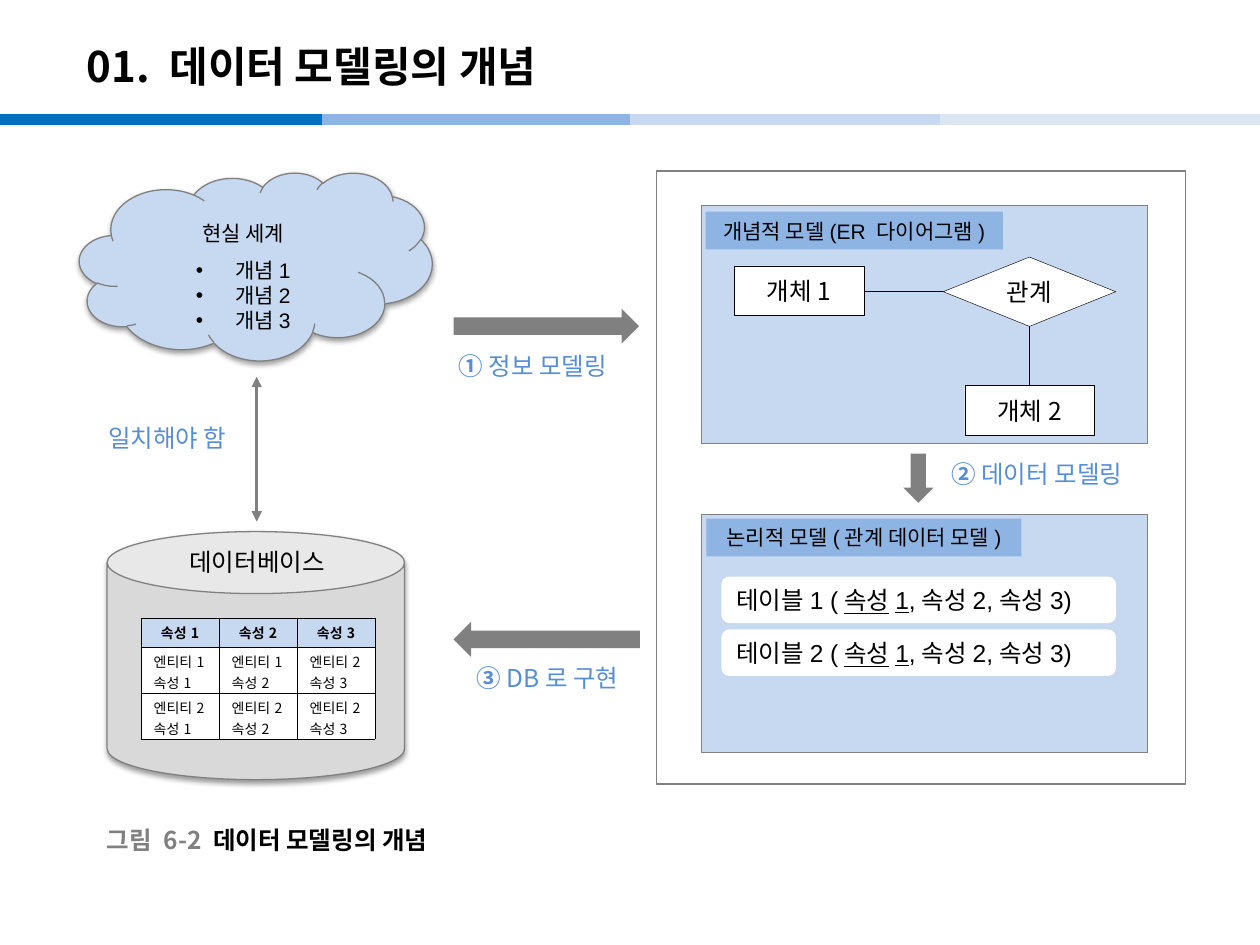
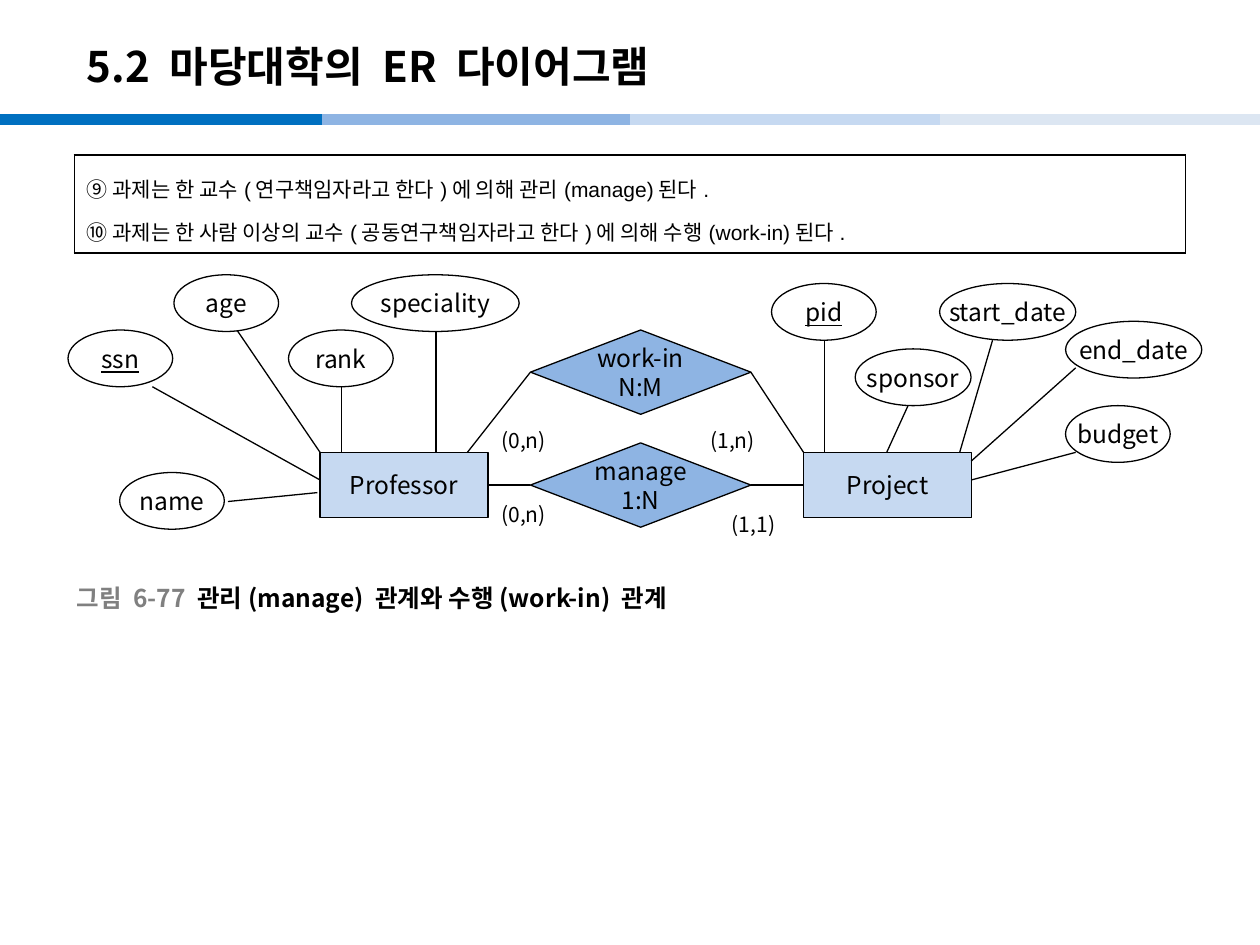
from lxml import etree
from pptx import Presentation
from pptx.dml.color import RGBColor
from pptx.enum import shapes, text
from pptx.oxml import ns
from pptx.util import Pt

BLACK = RGBColor(0x00, 0x00, 0x00)
WHITE = RGBColor(0xFF, 0xFF, 0xFF)
GRAY = RGBColor(0x80, 0x80, 0x80)
SILVER = RGBColor(0xD9, 0xD9, 0xD9)
NAVY = RGBColor(0x00, 0x70, 0xC0)
BLUE = RGBColor(0x8E, 0xB4, 0xE3)
PALE = RGBColor(0xC6, 0xD9, 0xF1)
MIST = RGBColor(0xDC, 0xE6, 0xF2)
SKY = RGBColor(0x55, 0x8E, 0xD5)

SANS = "Noto Sans CJK KR"
ARIAL = "Arial"
KIND = shapes.MSO_SHAPE
LEFT, MID = text.PP_ALIGN.LEFT, text.PP_ALIGN.CENTER
WIDE, HIGH = 720, 540


def sub(node, tag, **attrs):
    """Append an XML child such as a:ln to a node."""
    child = etree.SubElement(node, ns.qn(tag))
    for key, val in attrs.items():
        child.set(key, str(val))
    return child


def within(box, x, y, w, h):
    """Turn a box relative to another into a slide box."""
    return box[0] + x, box[1] + y, w, h


def write(frame, paras, size=14, font=SANS, color=BLACK, bold=False,
          align=LEFT, lines=None):
    """Fill a frame; a paragraph is a string or a list of (text, changes)."""
    frame.vertical_anchor = text.MSO_ANCHOR.MIDDLE
    for i, runs in enumerate(paras):
        para = frame.paragraphs[0] if i == 0 else frame.add_paragraph()
        para.alignment = align
        if lines:
            para.line_spacing = lines
        for words, diff in [(runs, {})] if isinstance(runs, str) else runs:
            run = para.add_run()
            run.text = words
            run.font.size = Pt(size)
            run.font.name = font
            run.font.bold = diff.get("bold", bold)
            run.font.underline = diff.get("under", False)
            run.font.color.rgb = diff.get("color", color)
            sub(run.font._element, "a:ea", typeface=SANS)


def label(slide, box, paras, **fmt):
    frame = slide.shapes.add_textbox(*map(Pt, box)).text_frame
    frame.word_wrap = True
    write(frame, paras, **fmt)


def draw(slide, kind, box, fill, line=None, width=0.75, paras=(), wrap=False,
         **fmt):
    shape = slide.shapes.add_shape(kind, *map(Pt, box))
    shape.shadow.inherit = False
    shape.fill.solid()
    shape.fill.fore_color.rgb = fill
    if line is None:
        shape.line.fill.background()
    else:
        shape.line.color.rgb = line
        shape.line.width = Pt(width)
    shape.text_frame.word_wrap = wrap
    if paras:
        write(shape.text_frame, paras, **{"align": MID, **fmt})
    return shape


def shade(shape):
    """Give a shape a soft shadow below it."""
    effects = shape._element.spPr.find(ns.qn("a:effectLst"))
    outer = sub(effects, "a:outerShdw", blurRad=Pt(3.1), dist=Pt(1.6),
                dir=5400000, algn="t", rotWithShape=0)
    sub(sub(outer, "a:srgbClr", val=BLACK), "a:alpha", val=38000)


def link(slide, start, end, color=BLACK, width=0.75, heads=False):
    line = slide.shapes.add_connector(
        shapes.MSO_CONNECTOR.STRAIGHT, *map(Pt, (*start, *end)))
    line.line.color.rgb = color
    line.line.width = Pt(width)
    if heads:
        for tag in ("a:headEnd", "a:tailEnd"):
            sub(line.line._get_or_add_ln(), tag, type="triangle")
    sub(line._element.spPr, "a:effectLst")


def grid(slide, box, rows, heights, edge, pads, heads=0, **fmt):
    """Table of equal columns; pads are the left, top, right, bottom margins."""
    table = slide.shapes.add_table(
        len(rows), len(rows[0]), *map(Pt, box)).table
    table.first_row = table.horz_banding = False
    for r, row in enumerate(rows):
        table.rows[r].height = Pt(heights[r])
        for c, paras in enumerate(row):
            table.columns[c].width = Pt(box[2] / len(row))
            cell = table.cell(r, c)
            top = r < heads
            (cell.margin_left, cell.margin_top, cell.margin_right,
             cell.margin_bottom) = map(Pt, (0, 0, 0, 0) if top else pads)
            write(cell.text_frame, paras, bold=top,
                  align=MID if top else LEFT, **fmt)
            cell.vertical_anchor = text.MSO_ANCHOR.MIDDLE
            props = cell._tc.get_or_add_tcPr()
            for tag in ("a:lnL", "a:lnR", "a:lnT", "a:lnB"):
                side = sub(props, tag, w=Pt(edge))
                sub(sub(side, "a:solidFill"), "a:srgbClr", val=BLACK)
            cell.fill.solid()
            cell.fill.fore_color.rgb = PALE if top else WHITE


# Shared parts
def start(deck, title):
    slide = deck.slides.add_slide(deck.slide_layouts[6])
    stops = (0, 184.3, 360, 537.1, WIDE)
    for left, right, color in zip(stops, stops[1:], (NAVY, BLUE, PALE, MIST)):
        link(slide, (left, 68.4), (right, 68.4), color, 6)
    label(slide, (42.5, 15.8, 595.4, 43.2), [title], size=24, bold=True)
    return slide


def caption(slide, box, number, words):
    label(slide, box, [[(f"그림 {number} ", {"color": GRAY}), (words, {})]],
          bold=True)


def step(slide, box, mark, words):
    label(slide, box, [[(mark + " ", {"bold": True}), (words, {})]], color=SKY)


# Regions of the modelling slide
def world(slide, box):
    cloud = draw(slide, KIND.CLOUD, box, PALE, GRAY, size=12, font=ARIAL,
                 paras=["현실 세계", "개념1", "개념2", "개념3"],
                 lines=Pt(14.3))
    shade(cloud)
    frame = cloud.text_frame
    frame.margin_top = Pt(20.6)
    frame.paragraphs[0].space_after = Pt(7)
    for para in frame.paragraphs[1:]:
        props = para._p.get_or_add_pPr()
        props.set("marL", str(Pt(22.5)))
        props.set("indent", str(-Pt(22.5)))
        sub(props, "a:buFont", typeface=ARIAL)
        sub(props, "a:buChar", char="•")


def store(slide, box):
    shade(draw(slide, KIND.CAN, box, SILVER, GRAY))
    label(slide, within(box, 36, 5.1, 99.4, 24.5), ["데이터베이스"], align=MID)
    rows = [[[f"속성{n}"] for n in (1, 2, 3)]]
    for owners in ((1, 1, 2), (2, 2, 2)):
        rows.append([[f"엔티티{own}", f"속성{n}"]
                     for n, own in enumerate(owners, 1)])
    grid(slide, within(box, 19.4, 49.2, 133.8, 69.2), rows,
         (16.6, 26.3, 26.3), 0.25, (7.2, 2.5, 0, 0), heads=1, size=8)


def panel(slide, box, tag, words):
    draw(slide, KIND.RECTANGLE, box, PALE, GRAY)
    draw(slide, KIND.RECTANGLE, within(box, *tag, 21.6), BLUE, paras=[words],
         size=12, font=ARIAL)


def concept(slide, box):
    panel(slide, box, (2.4, 3.6, 169.9), "개념적 모델(ER 다이어그램)")
    for kind, part, word in (
            (KIND.RECTANGLE, (18.7, 34.6, 74.2, 28.1), "개체1"),
            (KIND.FLOWCHART_DECISION, (138.2, 29.5, 98.6, 39.6), "관계"),
            (KIND.RECTANGLE, (150.5, 103, 74.2, 28.1), "개체2")):
        draw(slide, kind, within(box, *part), WHITE, BLACK, 0.25, [word])
    x, y = box[:2]
    link(slide, (x + 92.9, y + 49.2), (x + 138.2, y + 49.2))
    link(slide, (x + 187.5, y + 69), (x + 187.5, y + 103))


def logic(slide, box):
    panel(slide, box, (2.9, 2.2, 180), "논리적 모델(관계 데이터 모델)")
    for i in range(2):
        runs = [(f"테이블{i + 1} (", {}), ("속성1", {"under": True}),
                (",속성2,속성3)", {})]
        draw(slide, KIND.ROUNDED_RECTANGLE,
             within(box, 11.5, 35.3 + 30.2 * i, 225.4, 26.6), WHITE,
             paras=[runs], wrap=True, font=ARIAL, align=LEFT)


def models(slide, box):
    draw(slide, KIND.RECTANGLE, box, WHITE, GRAY, 1)
    concept(slide, within(box, 25.7, 19.5, 254.9, 136))
    logic(slide, within(box, 25.7, 196.3, 254.9, 136))
    draw(slide, KIND.DOWN_ARROW, within(box, 141, 161.3, 17.3, 28.1), GRAY)
    step(slide, within(box, 161.3, 160.6, 122.4, 24.5), "②", "데이터 모델링")


def modelling(deck):
    slide = start(deck, "01. 데이터 모델링의 개념")
    models(slide, (375.1, 97.9, 302.4, 350))
    store(slide, (61.2, 303.8, 170, 141.8))
    world(slide, (45.4, 98.6, 201.6, 107.3))
    draw(slide, KIND.RIGHT_ARROW, (259.2, 176.4, 106, 20), GRAY)
    step(slide, (254.9, 196.6, 110, 24.5), "①", "정보 모델링")
    draw(slide, KIND.LEFT_ARROW, (259.2, 355.4, 106.4, 20), GRAY)
    step(slide, (265, 375.1, 108, 24.5), "③", "DB로 구현")
    label(slide, (54.7, 237.6, 90, 24.5), ["일치해야 함"], color=SKY)
    link(slide, (146.7, 215.3), (146.7, 298.1), GRAY, 1.5, heads=True)
    caption(slide, (54, 468.7, 300, 22.3), "6-2", "데이터 모델링의 개념")


# Regions of the ER slide
PROF = (  # name, x, y, width, line start, line end
    ("age", -83.5, -101.5, 59.8, (-47.5, -69.9), (0, 0)),
    ("ssn", -144, -69.9, 59.8, (-95.8, -37.5), (0, 15.8)),
    ("rank", -18, -69.9, 59.8, (12.2, -37.5), (12.2, 0)),
    ("speciality", 18, -101.5, 95.8, (66.2, -69.9), (66.2, 0)),
    ("name", -114.5, 11.5, 59.8, (-52.6, 28.1), (-1.5, 23)),
)
PROJ = (
    ("pid", -18.3, -96.5, 59.8, (11.8, -64.1), (11.8, 0)),
    ("sponsor", 29.5, -59.1, 66.2, (59.7, -26.7), (47.5, 0)),
    ("end_date", 149.7, -74.9, 77.8, (155.5, -48.3), (95.8, 5)),
    ("start_date", 77.7, -96.5, 77.8, (108, -64.1), (89.2, 0)),
    ("budget", 149.7, -26.7, 59.8, (155.5, 0), (95.8, 15.8)),
)
KEYS = ("ssn", "pid")


def entity(slide, box, name, attrs):
    draw(slide, KIND.RECTANGLE, box, PALE, BLACK, paras=[name])
    x, y = box[:2]
    for word, dx, dy, wide, (x1, y1), (x2, y2) in attrs:
        link(slide, (x + x1, y + y1), (x + x2, y + y2))
        draw(slide, KIND.OVAL, within(box, dx, dy, wide, 32.4), WHITE, BLACK,
             paras=[[(word, {"under": word in KEYS})]])


def relate(slide, box, words, ends, notes):
    """Diamond with a line from each side tip and the cardinalities."""
    draw(slide, KIND.DIAMOND, box, BLUE, BLACK, paras=words, lines=Pt(16.6))
    x, y, wide, high = box
    for tip, (dx, dy) in zip((x, x + wide), ends):
        link(slide, (tip, y + high / 2), (tip + dx, y + high / 2 + dy))
    for word, dx, dy in notes:
        label(slide, within(box, dx, dy, 48, 21.6), [word], size=12)


def diagram(deck):
    slide = start(deck, "5.2 마당대학의 ER 다이어그램")
    rules = ["⑨ 과제는 한 교수(연구책임자라고 한다)에 의해 관리(manage)된다.",
             "⑩ 과제는 한 사람 이상의 교수(공동연구책임자라고 한다)에 의해 "
             "수행(work-in)된다."]
    grid(slide, (42.5, 88.6, 635, 56), [[rules]], [56], 1,
         (7.2, 3.6, 7.2, 3.6), size=12, font=ARIAL, lines=1.4)
    entity(slide, (182.9, 258.5, 96, 37.4), "Professor", PROF)
    entity(slide, (459.2, 258.5, 96, 37.4), "Project", PROJ)
    relate(slide, (303.1, 188.6, 126, 48.2), ["work-in", "N:M"],
           ((-36, 45.8), (30.1, 45.8)),
           (("(0,n)", -23.7, 51.9), ("(1,n)", 95.8, 51.9)))
    relate(slide, (303.1, 253.1, 126, 48.2), ["manage", "1:N"],
           ((-24.2, 0), (30.1, 0)),
           (("(0,n)", -23.7, 29.9), ("(1,1)", 108, 35.6)))
    caption(slide, (36.7, 330.5, 450, 22.3), "6-77",
            "관리(manage) 관계와 수행(work-in) 관계")


def main():
    deck = Presentation()
    deck.slide_width, deck.slide_height = Pt(WIDE), Pt(HIGH)
    modelling(deck)
    diagram(deck)
    deck.save("out.pptx")


if __name__ == "__main__":
    main()
